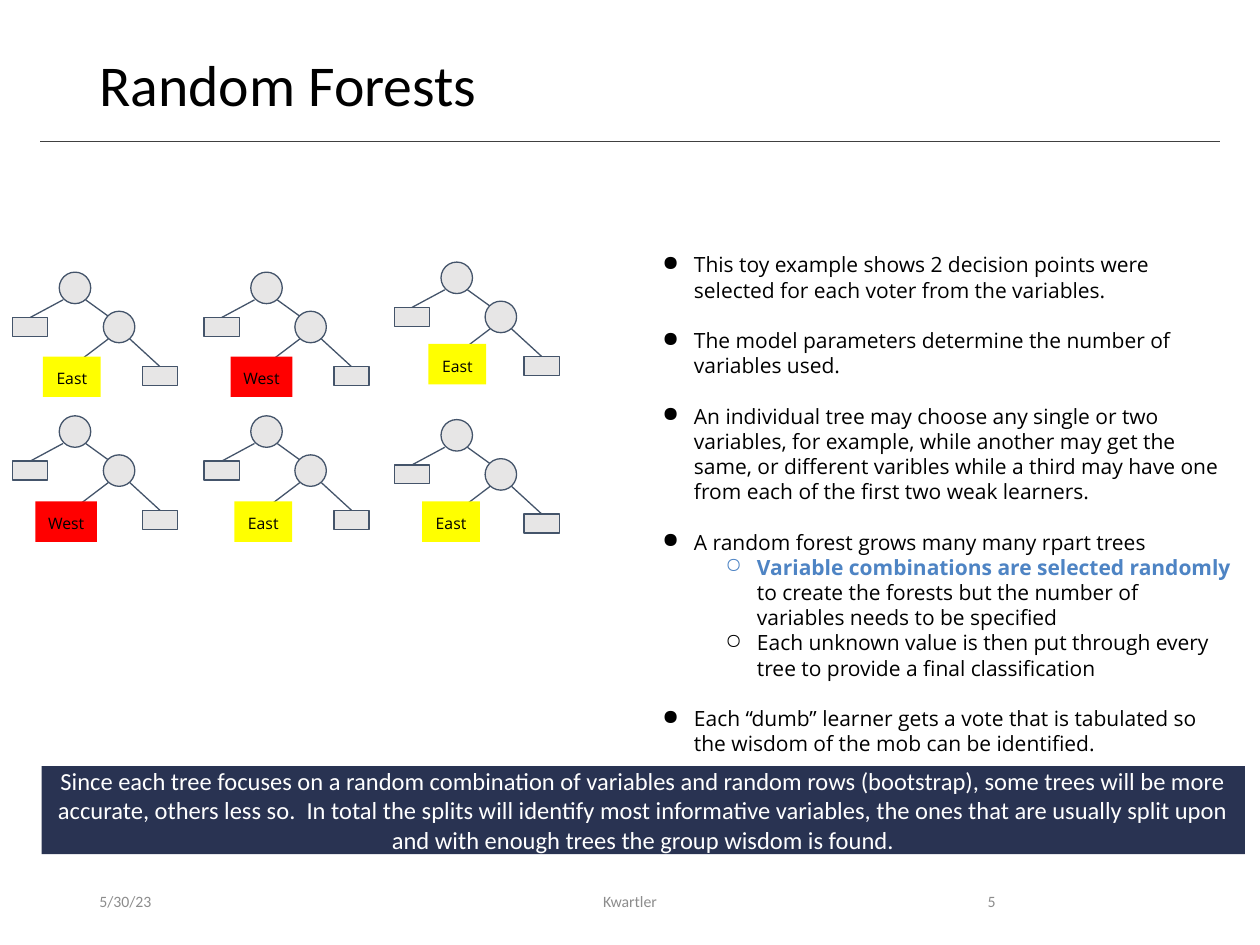
from lxml.etree import SubElement
from pptx import Presentation
from pptx.dml.color import RGBColor
from pptx.enum.shapes import MSO_CONNECTOR as Connector, MSO_SHAPE as Shape
from pptx.enum.text import MSO_ANCHOR as Anchor, PP_ALIGN as Align
from pptx.oxml.ns import qn
from pptx.util import Inches, Pt

COLORS = {
    "black": "000000", "white": "FFFFFF", "rule": "404040", "footer": "8C8C8C",
    "banner": "293352", "accent": "4E84C4", "node": "E7E6E6", "edge": "44546A",
    "East": "FFFF00", "West": "FF0000",
}
NODES = [
    (Shape.OVAL, 0.37, 0, 0.25, 0.25),
    (Shape.RECTANGLE, 0, 0.36, 0.28, 0.15),
    (Shape.OVAL, 0.72, 0.31, 0.25, 0.25),
    (Shape.RECTANGLE, 1.03, 0.75, 0.28, 0.15),
]
BRANCHES = [
    (0.4, 0.22, 0.14, 0.36), (0.58, 0.22, 0.76, 0.35),
    (0.76, 0.53, 0.47, 0.75), (0.93, 0.53, 1.17, 0.75),
]
TREES = [
    (0.1, 2.16, "East", 0.34, 2.83), (1.62, 2.16, "West", 1.83, 2.83),
    (3.13, 2.08, "East", 3.4, 2.73), (0.1, 3.3, "West", 0.28, 3.98),
    (1.62, 3.3, "East", 1.86, 3.98), (3.13, 3.33, "East", 3.35, 3.98),
]
VOTE_WIDTHS = {"East": 0.46, "West": 0.49}
POINTS = [
    (0, "", "This toy example shows 2 decision points were selected for each "
            "voter from the variables."),
    (0, "", "The model parameters determine the number of variables used."),
    (0, "", "An individual tree may choose any single or two variables, for "
            "example, while another may get the same, or different varibles "
            "while a third may have one from each of the first two weak learners."),
    (0, "", "A random forest grows many many rpart trees"),
    (1, "Variable combinations are selected randomly ",
     "to create the forests but the number of variables needs to be specified"),
    (1, "", "Each unknown value is then put through every tree to provide a "
            "final classification"),
    (0, "", "Each “dumb” learner gets a vote that is tabulated so the wisdom of "
            "the mob can be identified."),
]
SUMMARY = (
    "Since each tree focuses on a random combination of variables and random rows "
    "(bootstrap), some trees will be more accurate, others less so.  In total the "
    "splits will identify most informative variables, the ones that are usually "
    "split upon and with enough trees the group wisdom is found."
)


def rgb(name):
    return RGBColor.from_string(COLORS[name])


def set_font(font, size, color, name="Calibri"):
    font.size, font.name = Pt(size), name
    font.color.rgb = rgb(color)


def write(shape, text, size, color, align=Align.LEFT, anchor=Anchor.MIDDLE,
          name="Calibri"):
    frame = shape.text_frame
    frame.word_wrap = True
    frame.vertical_anchor = anchor
    paragraph = frame.paragraphs[0]
    paragraph.text = text
    paragraph.alignment = align
    set_font(paragraph.font, size, color, name)
    return paragraph


def set_insets(frame, inset):
    frame.margin_left = frame.margin_right = Inches(inset)
    frame.margin_top = frame.margin_bottom = Inches(inset)


def add_text_box(slide, box, *text, **options):
    return write(slide.shapes.add_textbox(*map(Inches, box)), *text, **options)


def add_filled(shapes, kind, box, fill, line=None):
    shape = shapes.add_shape(kind, *map(Inches, box))
    shape.shadow.inherit = False
    shape.fill.solid()
    shape.fill.fore_color.rgb = rgb(fill)
    if line:
        shape.line.color.rgb = rgb(line)
        shape.line.width = Pt(0.75)
    else:
        shape.line.fill.background()
    return shape


def add_line(shapes, ends, color, width):
    line = shapes.add_connector(Connector.STRAIGHT, *map(Inches, ends))
    line.line.color.rgb = rgb(color)
    line.line.width = Pt(width)
    SubElement(line._element.spPr, qn("a:effectLst"))


def add_header(slide, left, top, width):
    title = add_text_box(slide, (left, top, width, 0.65), "Random Forests", 33,
                         "black", anchor=Anchor.TOP)
    title.line_spacing = 0.9
    add_line(slide.shapes, (0.32, top + 0.72, 9.68, top + 0.72), "rule", 0.5)


def add_tree(slide, left, top):
    group = slide.shapes.add_group_shape()
    for x1, y1, x2, y2 in BRANCHES:
        add_line(group.shapes, (left + x1, top + y1, left + x2, top + y2),
                 "edge", 0.75)
    for kind, x, y, width, height in NODES:
        add_filled(group.shapes, kind, (left + x, top + y, width, height),
                   "node", "edge")


def add_vote(slide, vote, left, top):
    label = add_filled(slide.shapes, Shape.RECTANGLE,
                       (left, top, VOTE_WIDTHS[vote], 0.32), vote)
    write(label, vote, 9, "black", Align.CENTER, Anchor.TOP, "Open Sans")
    label.text_frame.word_wrap = False
    set_insets(label.text_frame, 0.1)


def add_points(slide, left, top, width, height):
    frame = slide.shapes.add_textbox(*map(Inches, (left, top, width, height))).text_frame
    frame.word_wrap = True
    set_insets(frame, 0.1)
    for index, (level, lead, text) in enumerate(POINTS):
        paragraph = frame.add_paragraph() if index else frame.paragraphs[0]
        paragraph.level = level
        paragraph.line_spacing = Pt(14.4)
        paragraph.space_before = Pt(14.4 if index and level == 0 else 0)
        set_font(paragraph.font, 12, "black", "Open Sans")
        for part, color in ((lead, "accent"), (text, "black")):
            if part:
                run = paragraph.add_run()
                run.text = part
                run.font.bold = color == "accent"
                set_font(run.font, 12, color, "Open Sans")
        properties = paragraph._p.get_or_add_pPr()
        properties.set("marL", str(Inches(0.5 + 0.5 * level)))
        properties.set("indent", str(Inches(-0.25)))
        bullet = SubElement(properties, qn("a:buChar"), char="●○"[level])
        properties.find(qn("a:defRPr")).addprevious(bullet)


def add_banner(slide, *box):
    banner = add_filled(slide.shapes, Shape.RECTANGLE, box, "banner")
    write(banner, SUMMARY, 14, "white", Align.CENTER)


def add_footer(slide, top):
    for left, width, text, align in (
        (0.69, 2.25, "5/30/23", Align.LEFT),
        (3.31, 3.38, "Kwartler", Align.CENTER),
        (7.06, 0.94, "5", Align.RIGHT),
    ):
        add_text_box(slide, (left, top, width, 0.4), text, 9, "footer", align=align)


presentation = Presentation()
presentation.slide_width, presentation.slide_height = Inches(10), Inches(7.5)
slide = presentation.slides.add_slide(presentation.slide_layouts[6])
add_header(slide, 0.69, 0.4, 8.62)
add_banner(slide, 0.33, 6.08, 9.55, 0.7)
add_points(slide, 4.91, 1.9, 4.96, 3.37)
for tree_left, tree_top, vote, vote_left, vote_top in TREES:
    add_tree(slide, tree_left, tree_top)
    add_vote(slide, vote, vote_left, vote_top)
add_footer(slide, 6.95)
presentation.save("out.pptx")
